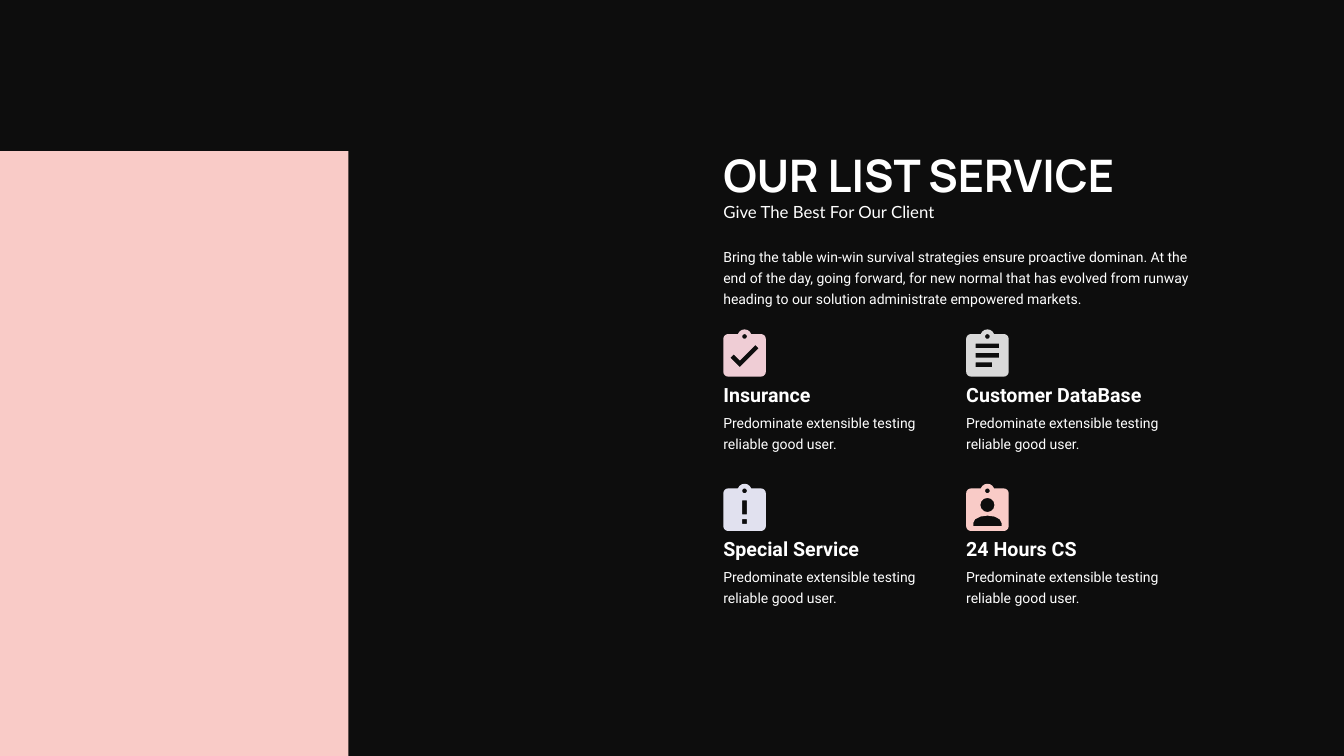
import math

import pptx
import pptx.util
import pptx.dml.color
import pptx.enum.shapes
import pptx.enum.text

Cm, Pt = pptx.util.Cm, pptx.util.Pt
RGB = pptx.dml.color.RGBColor.from_string

COLORS = {
    "black": "0D0D0D",
    "white": "FFFFFF",
    "salmon": "F9CBC7",
    "pink": "EFCDD5",
    "grey": "D9D9D9",
    "lilac": "E1E1EF",
}

prs = pptx.Presentation()
prs.slide_width, prs.slide_height = Cm(33.87), Cm(19.05)
s = prs.slides.add_slide(prs.slide_layouts[6])


def add_text(text, x, y, w, h, size, font="Roboto", bold=False, spacing=None, middle=False):
    tb = s.shapes.add_textbox(Cm(x), Cm(y), Cm(w), Cm(h))
    tf = tb.text_frame
    tf.word_wrap = True
    tf.auto_size = pptx.enum.text.MSO_AUTO_SIZE.SHAPE_TO_FIT_TEXT
    tf.margin_left = tf.margin_right = tf.margin_top = tf.margin_bottom = 0
    if middle:
        tf.vertical_anchor = pptx.enum.text.MSO_ANCHOR.MIDDLE
    p = tf.paragraphs[0]
    if spacing:
        p.line_spacing = Pt(spacing)
    r = p.add_run()
    r.text = text
    r.font.name, r.font.size, r.font.bold = font, Pt(size), bold
    r.font.color.rgb = RGB(COLORS["white"])


def arc(cx, cy, rx, ry, start, end):
    """Points along an ellipse, clockwise on the slide, angles in degrees."""
    steps = 2 * math.ceil((end - start) / 60)
    angles = [math.radians(start + (end - start) * i / steps) for i in range(steps + 1)]
    return [(cx + rx * math.cos(a), cy + ry * math.sin(a)) for a in angles]


# Backdrop and left panel
for top, width, height, color in ((0, 33.87, 19.05, "black"), (3.81, 8.78, 15.24, "salmon")):
    sp = s.shapes.add_shape(pptx.enum.shapes.MSO_SHAPE.RECTANGLE, 0, Cm(top), Cm(width), Cm(height))
    sp.shadow.inherit = False
    sp.fill.solid()
    sp.fill.fore_color.rgb = RGB(COLORS[color])
    sp.line.fill.background()

# Heading
LEFT, WIDTH = 18.23, 11.81
add_text("OUR LIST SERVICE", LEFT, 3.84, WIDTH, 1.24, 32, "Manrope", bold=True, spacing=35, middle=True)
add_text("Give The Best For Our Client", LEFT, 5.08, WIDTH, 0.51, 12, "Lato")
add_text("Bring the table win-win survival strategies ensure proactive dominan. At the end of the day, "
         "going forward, for new normal that has evolved from runway heading to our solution "
         "administrate empowered markets.", LEFT, 6.17, WIDTH, 1.55, 10, spacing=15)

# Clipboard icons, drawn on a grid 18 wide and 20 high
board = (arc(2, 4, 2, 2, 180, 270) + arc(9, 3, 3, 3, 199.5, 340.5)
         + arc(16, 4, 2, 2, 270, 360) + arc(16, 18, 2, 2, 0, 90) + arc(2, 18, 2, 2, 90, 180))
pin_hole = arc(9, 3, 1, 1, 0, 360)
check = [[(7, 16), (15, 8), (13.6, 6.6), (7, 13.2), (4.4, 10.6), (3, 12)]]
lines = [[(4, y), (right, y), (right, y + 2), (4, y + 2)] for y, right in ((6, 14), (10, 14), (14, 11))]
exclamation = [[(8, top), (10, top), (10, bottom), (8, bottom)] for top, bottom in ((7, 13), (15, 17))]
person = [arc(9, 9, 3, 3, 0, 360), [(3, 18)] + arc(9, 16.6, 6, 3.1, 180, 360) + [(15, 18)]]

services = [
    ("Insurance", check, "pink"),
    ("Customer DataBase", lines, "grey"),
    ("Special Service", exclamation, "lilac"),
    ("24 Hours CS", person, "salmon"),
]
UNITS = 100
SCALE = Cm(1.07) / (18 * UNITS)

for i, (title, symbol, color) in enumerate(services):
    row, col = divmod(i, 2)
    x, y = LEFT + 6.12 * col, 8.3 + 3.89 * row

    outlines = [[(px * UNITS, py * UNITS) for px, py in pts] for pts in [board, pin_hole] + symbol]
    fb = s.shapes.build_freeform(*outlines[0][0], scale=SCALE)
    fb.add_line_segments(outlines[0][1:])
    for hole in outlines[1:]:
        fb.move_to(*hole[0])
        fb.add_line_segments(hole[1:])
    icon = fb.convert_to_shape(Cm(x), Cm(y))
    icon.shadow.inherit = False
    icon.fill.solid()
    icon.fill.fore_color.rgb = RGB(COLORS[color])
    icon.line.fill.background()

    add_text(title, x, y + 1.35, 4.88, 0.61, 14, bold=True)
    add_text("Predominate extensible testing reliable good user.", x, y + 2.04, 4.88, 1.02, 10, spacing=15)

prs.save("out.pptx")
